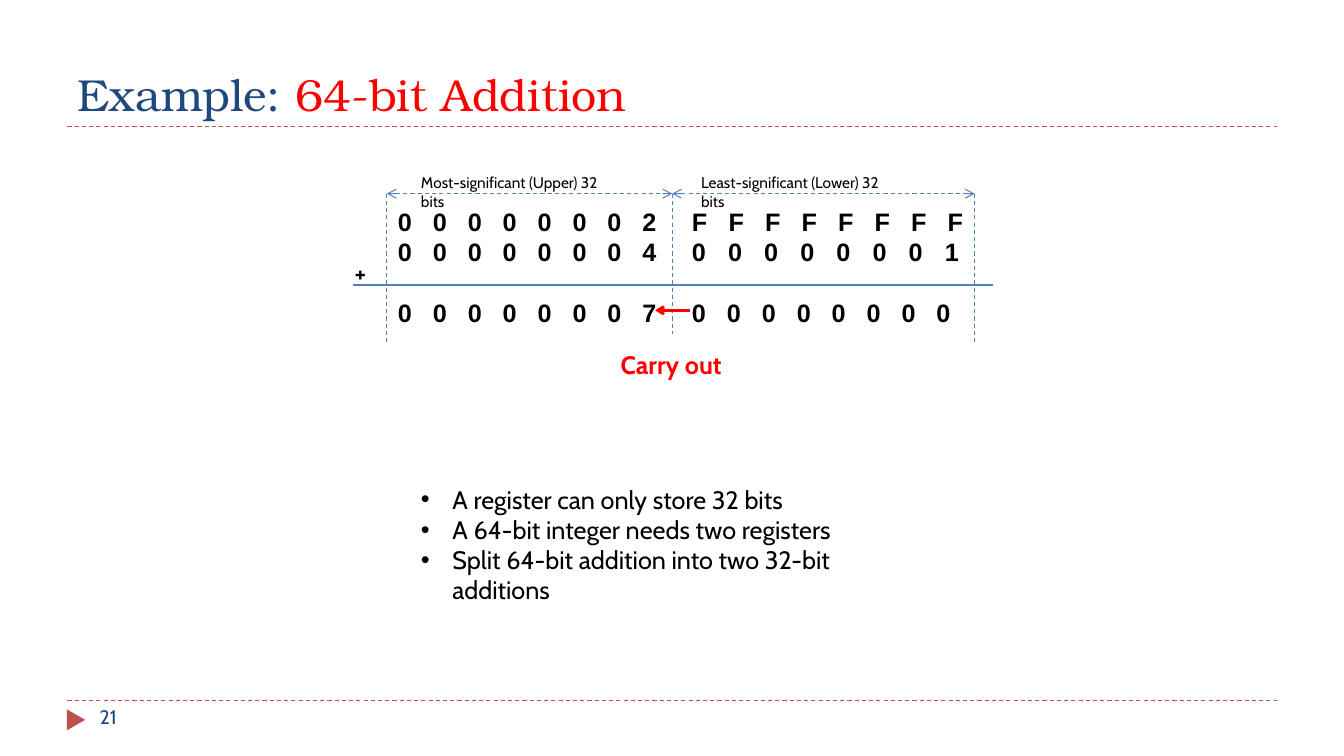
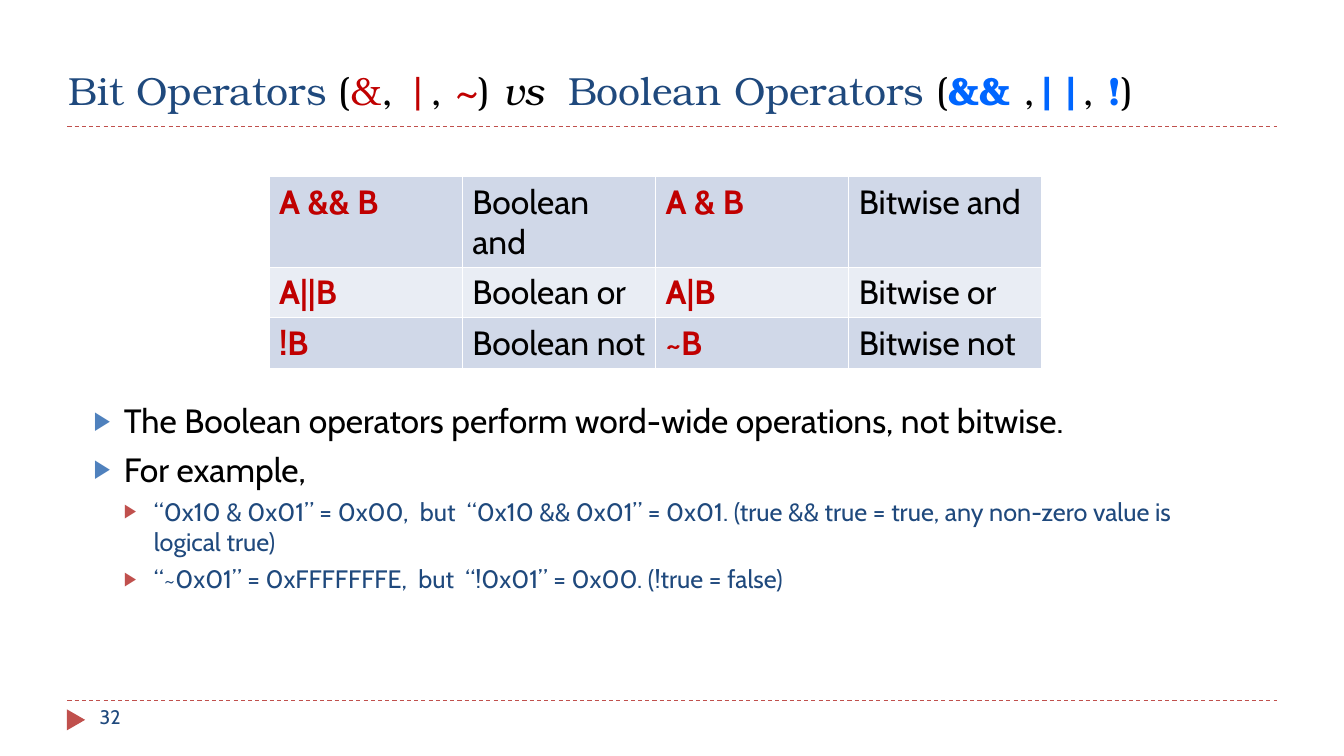
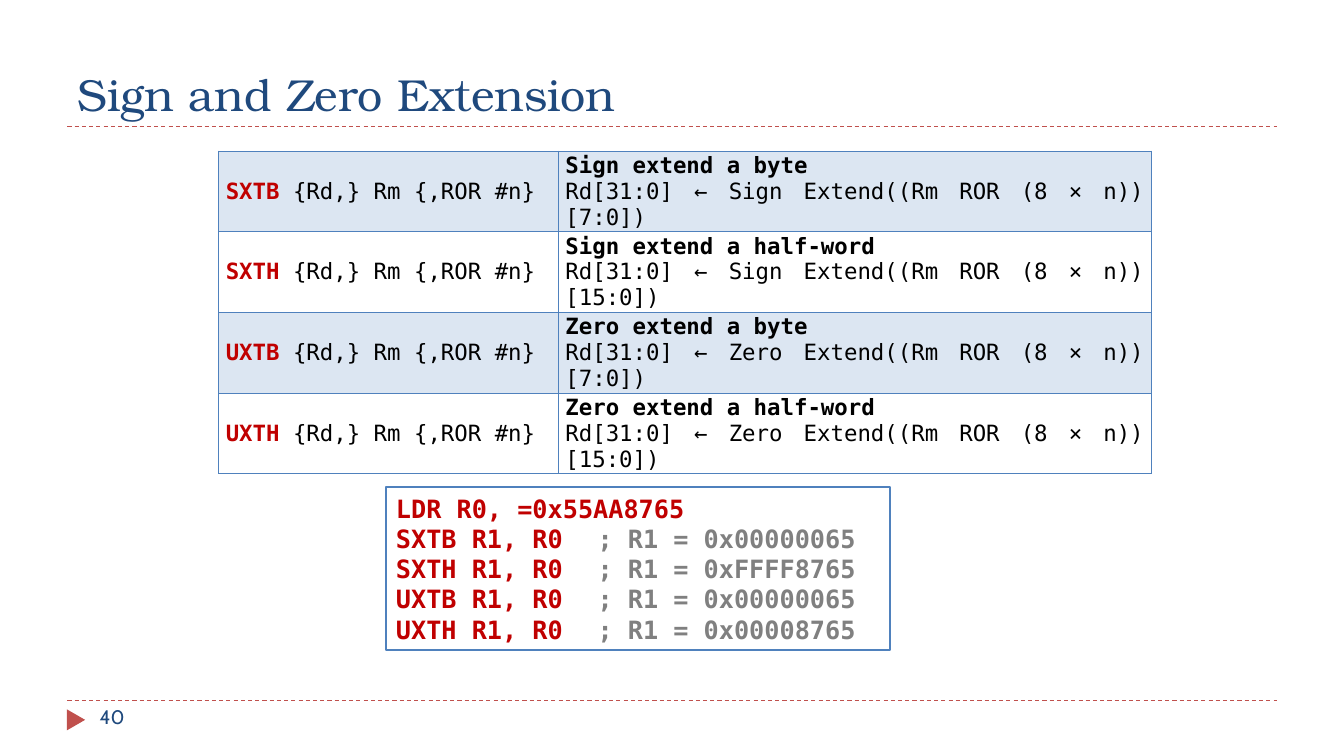
from lxml import etree
from pptx import Presentation
from pptx.dml.color import RGBColor
from pptx.enum import dml, shapes, text
from pptx.oxml import ns
from pptx.util import Cm, Pt

NAVY = RGBColor(0x1F, 0x49, 0x7D)
BLUE = RGBColor(0x4F, 0x81, 0xBD)
BRIGHT_BLUE = RGBColor(0x00, 0x66, 0xFF)
PALE_BLUE = RGBColor(0xDC, 0xE6, 0xF2)
BAND_DARK = RGBColor(0xD0, 0xD8, 0xE8)
BAND_LIGHT = RGBColor(0xE9, 0xED, 0xF4)
BRICK = RGBColor(0xC0, 0x50, 0x4D)
DARK_RED = RGBColor(0xC0, 0x00, 0x00)
RED = RGBColor(0xFF, 0x00, 0x00)
GREY = RGBColor(0x80, 0x80, 0x80)
BLACK = RGBColor(0, 0, 0)
WHITE = RGBColor(0xFF, 0xFF, 0xFF)

SANS, SERIF, MONO, DIGIT = "Cabin", "TeX Gyre Bonum", "DejaVu Sans Mono", "Arial"

BLACK_RUN = dict(color=BLACK)
RED_RUN = dict(color=DARK_RED)
KEY_RUN = dict(color=DARK_RED, bold=True)
BOOLEAN_RUN = dict(color=BRIGHT_BLUE, bold=True)

ADDITION_TITLE = ["Example: ", ("64-bit Addition", dict(color=RED))]
ADDENDS_AND_SUM = [
    ("00000002", "FFFFFFFF", 0.92, 0),
    ("00000004", "00000001", 0.91, 0),
    ("00000007", "00000000", 0.88, 21.5),
]
HALF_LABELS = [
    (10.36, "Most-significant (Upper) 32 bits"),
    (17.42, "Least-significant (Lower) 32 bits"),
]
REGISTER_NOTES = [
    "A register can only store 32 bits",
    "A 64-bit integer needs two registers",
    "Split 64-bit addition into two 32-bit additions",
]

OPERATORS_TITLE = [
    "Bit Operators ", ("(", BLACK_RUN), ("&", RED_RUN), (",", BLACK_RUN),
    (" |", RED_RUN), (", ", BLACK_RUN), ("~", RED_RUN), (") ", BLACK_RUN),
    ("vs  ", dict(color=BLACK, italic=True)), "Boolean Operators ",
    ("(", BLACK_RUN), ("&&", BOOLEAN_RUN), (" ,", BLACK_RUN),
    ("||", BOOLEAN_RUN), (", ", BLACK_RUN), ("!", BOOLEAN_RUN), (")", BLACK_RUN),
]
OPERATORS = [
    ("A && B", "Boolean and", "A & B", "Bitwise and"),
    ("A||B", "Boolean or", "A|B", "Bitwise or"),
    ("!B", "Boolean not", "~B", "Bitwise not"),
]
OPERATOR_NOTES = [
    (0, "The Boolean operators perform word-wide operations, not bitwise."),
    (0, "For example,"),
    (1, "“0x10 & 0x01” = 0x00,  but  “0x10 && 0x01” = 0x01. "
        "(true && true = true, any non-zero value is logical true)"),
    (1, "“~0x01” = 0xFFFFFFFE,  but  “!0x01” = 0x00. (!true = false)"),
]
NOTE_LEVELS = [
    dict(size=24, color=BLACK, before=6, mark=BLUE),
    dict(size=18, color=NAVY, before=5, mark=BRICK),
]

EXTENSIONS = [
    ("SXTB", "Sign", "byte", "[7:0]"),
    ("SXTH", "Sign", "half-word", "[15:0]"),
    ("UXTB", "Zero", "byte", "[7:0]"),
    ("UXTH", "Zero", "half-word", "[15:0]"),
]
LISTING = [
    ("LDR R0, =0x55AA8765", ""),
    ("SXTB R1, R0\t", "; R1 = 0x00000065"),
    ("SXTH R1, R0\t", "; R1 = 0xFFFF8765"),
    ("UXTB R1, R0\t", "; R1 = 0x00000065"),
    ("UXTH R1, R0\t", "; R1 = 0x00008765"),
]


def add_xml(parent, tag, **attributes):
    return etree.SubElement(parent, ns.qn(tag), attributes)


def write(frame, content, first=False, size=18, font=SANS, color=BLACK, bold=False,
          italic=False, align=text.PP_ALIGN.LEFT, before=0, bullet=None, mark=None,
          hang=0.76, level=0, tabs=()):
    paragraph = frame.paragraphs[0] if first else frame.add_paragraph()
    properties = paragraph._p.get_or_add_pPr()
    if bullet:
        properties.set("marL", str(Cm(hang * (level + 1))))
        properties.set("indent", str(-Cm(hang)))
        if mark is not None:
            add_xml(add_xml(properties, "a:buClr"), "a:srgbClr", val=str(mark))
            add_xml(properties, "a:buSzPct", val="76000")
        add_xml(properties, "a:buFont", typeface=DIGIT)
        add_xml(properties, "a:buChar", char=bullet)
    if tabs:
        stops = add_xml(properties, "a:tabLst")
        for stop in tabs:
            add_xml(stops, "a:tab", pos=str(Cm(stop)), algn="l")
    paragraph.alignment = align
    paragraph.space_before = Pt(0 if first else before)
    for part in [content] if isinstance(content, str) else content:
        words, own = (part, {}) if isinstance(part, str) else part
        look = dict(size=size, font=font, color=color, bold=bold, italic=italic) | own
        run = paragraph.add_run()
        run.text = words
        run.font.size, run.font.name = Pt(look["size"]), look["font"]
        run.font.bold, run.font.italic = look["bold"], look["italic"]
        run.font.color.rgb = look["color"]


def add_text(slide, box, content=None, **look):
    frame = slide.shapes.add_textbox(*map(Cm, box)).text_frame
    frame.word_wrap = True
    if content:
        write(frame, content, first=True, **look)
    return frame


def add_line(slide, start, end, color=BLUE, width=0.75, dashed=True, head=False, tail=False):
    line = slide.shapes.add_connector(
        shapes.MSO_CONNECTOR.STRAIGHT, *map(Cm, (*start, *end)))
    line.line.color.rgb, line.line.width = color, Pt(width)
    if dashed:
        line.line.dash_style = dml.MSO_LINE.DASH
    stroke = line.line._get_or_add_ln()
    for wanted, tag in ((head, "a:headEnd"), (tail, "a:tailEnd")):
        if wanted:
            add_xml(stroke, tag, type="arrow")
    add_xml(line._element.spPr, "a:effectLst")


def add_slide(deck, title, number, box=(1.7, 0.43, 30.48, 2.74), size=32):
    slide = deck.slides.add_slide(deck.slide_layouts[5])
    heading = slide.shapes.title
    heading.left, heading.top, heading.width, heading.height = map(Cm, box)
    frame = heading.text_frame
    frame.word_wrap, frame.auto_size = True, text.MSO_AUTO_SIZE.NONE
    frame.vertical_anchor = text.MSO_ANCHOR.BOTTOM
    write(frame, title, first=True, size=size, font=SERIF, color=NAVY)
    for y in (3.18, 17.65):
        add_line(slide, (1.7, y), (32.18, y), BRICK)
    marker = slide.shapes.add_shape(
        shapes.MSO_SHAPE.ISOSCELES_TRIANGLE, *map(Cm, (1.65, 17.91, 0.53, 0.46)))
    marker.rotation = 90
    marker.shadow.inherit = False
    marker.fill.solid()
    marker.fill.fore_color.rgb = BRICK
    marker.line.fill.background()
    add_text(slide, (2.26, 17.65, 7.34, 1.02), number, size=14, color=NAVY)
    return slide


def add_table(slide, left, top, widths, row_height, count):
    table = slide.shapes.add_table(
        count, len(widths), *map(Cm, (left, top, sum(widths), row_height * count))).table
    table.first_row = table.horz_banding = False
    for column, width in zip(table.columns, widths):
        column.width = Cm(width)
    for row in table.rows:
        row.height = Cm(row_height)
    return table


def style_cell(cell, fill, border):
    if fill is None:
        cell.fill.background()
    else:
        cell.fill.solid()
        cell.fill.fore_color.rgb = fill
    properties = cell._tc.get_or_add_tcPr()
    for place, side in enumerate("LRTB"):
        edge = add_xml(properties, f"a:ln{side}", w=str(Pt(1)))
        add_xml(add_xml(edge, "a:solidFill"), "a:srgbClr", val=str(border))
        properties.insert(place, edge)


def build_addition(deck):
    slide = add_slide(deck, ADDITION_TITLE, "21")
    left, middle, right, top = 9.75, 16.94, 24.56, 4.88
    add_line(slide, (8.89, 7.19), (25.02, 7.19), width=1.5, dashed=False)
    for x, bottom in ((left, 8.69), (middle, 8.41), (right, 8.69)):
        add_line(slide, (x, top), (x, bottom))
    for start, end in ((left, middle), (middle, right)):
        add_line(slide, (start, top), (end, top), head=True, tail=True)
    digits = add_text(slide, (9.78, 5.08, 15.21, 3.33))
    for index, (upper, lower, pitch, before) in enumerate(ADDENDS_AND_SUM):
        stops = [0.88 * k for k in range(1, 8)] + [7.41 + pitch * k for k in range(8)]
        write(digits, "\t".join(upper + lower), first=index == 0, font=DIGIT,
              bold=True, before=before, tabs=stops)
    for x, label in HALF_LABELS:
        add_text(slide, (x, 4.24, 5.4, 0.74), label, size=11)
    add_text(slide, (8.69, 6.35, 0.89, 1.02), "+", bold=True)
    add_line(slide, (17.4, 7.82), (16.51, 7.82), RED, 2, dashed=False, tail=True)
    add_text(slide, (15.39, 8.69, 3.8, 1.02), "Carry out", color=RED, bold=True)
    notes = add_text(slide, (10.36, 12.07, 13, 2.57))
    for index, note in enumerate(REGISTER_NOTES):
        write(notes, note, first=index == 0, bullet="•", hang=0.79)


def build_operators(deck):
    slide = add_slide(deck, OPERATORS_TITLE, "32", (1.47, 0.25, 30.91, 2.74), 28)
    table = add_table(slide, 6.78, 4.45, [4.87] * 4, 1.04, len(OPERATORS))
    for r, row in enumerate(OPERATORS):
        for c, entry in enumerate(row):
            cell = table.cell(r, c)
            style_cell(cell, BAND_LIGHT if r % 2 else BAND_DARK, WHITE)
            look = BLACK_RUN if c % 2 else KEY_RUN
            write(cell.text_frame, entry, first=True, size=24, **look)
    notes = add_text(slide, (2.11, 9.96, 27.74, 6.93))
    for index, (level, note) in enumerate(OPERATOR_NOTES):
        write(notes, note, first=index == 0, bullet="▶", level=level, **NOTE_LEVELS[level])


def build_extension(deck):
    slide = add_slide(deck, "Sign and Zero Extension", "40")
    table = add_table(slide, 5.51, 3.81, [8.56, 14.94], 1.8, len(EXTENSIONS))
    look = dict(size=16, font=MONO, align=text.PP_ALIGN.JUSTIFY)
    for r, (mnemonic, kind, unit, bits) in enumerate(EXTENSIONS):
        syntax, meaning = table.cell(r, 0), table.cell(r, 1)
        for cell in (syntax, meaning):
            style_cell(cell, None if r % 2 else PALE_BLUE, BLUE)
            cell.vertical_anchor = text.MSO_ANCHOR.MIDDLE
            cell.margin_left = cell.margin_right = Cm(0.18)
            cell.margin_top = cell.margin_bottom = 0
        write(syntax.text_frame, [(f"{mnemonic} ", KEY_RUN), "{Rd,} Rm {,ROR #n}"],
              first=True, **look)
        write(meaning.text_frame, f"{kind} extend a {unit}", first=True, bold=True, **look)
        write(meaning.text_frame,
              f"Rd[31:0] ← {kind} Extend((Rm ROR (8 × n)){bits})", **look)
    panel = slide.shapes.add_shape(
        shapes.MSO_SHAPE.RECTANGLE, *map(Cm, (9.73, 12.27, 12.7, 4.11)))
    panel.shadow.inherit = False
    panel.fill.solid()
    panel.fill.fore_color.rgb = WHITE
    panel.line.color.rgb, panel.line.width = BLUE, Pt(1.5)
    panel.text_frame.word_wrap = True
    for index, (code, comment) in enumerate(LISTING):
        parts = [code] + ([(comment, dict(color=GREY))] if comment else [])
        write(panel.text_frame, parts, first=index == 0, font=MONO, **KEY_RUN)


def main():
    deck = Presentation()
    deck.slide_width, deck.slide_height = Cm(33.87), Cm(19.05)
    build_addition(deck)
    build_operators(deck)
    build_extension(deck)
    deck.save("out.pptx")


if __name__ == "__main__":
    main()
